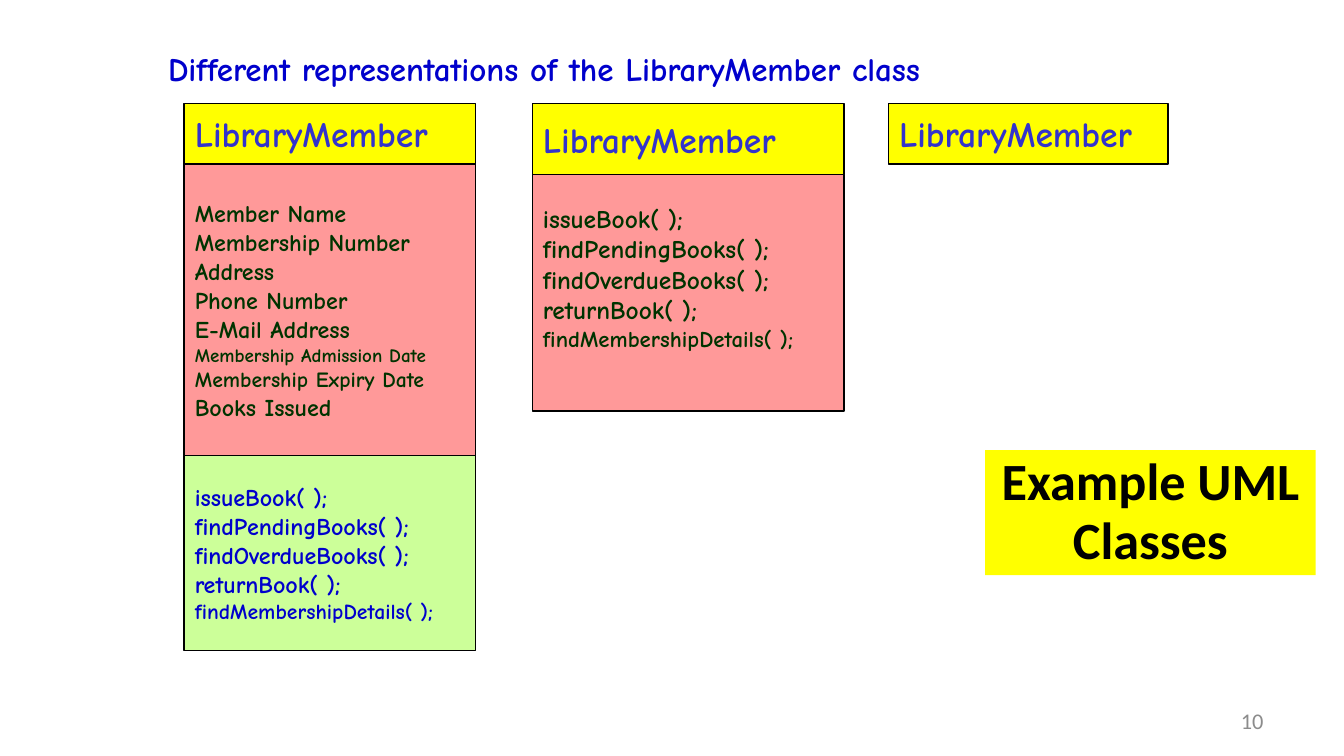
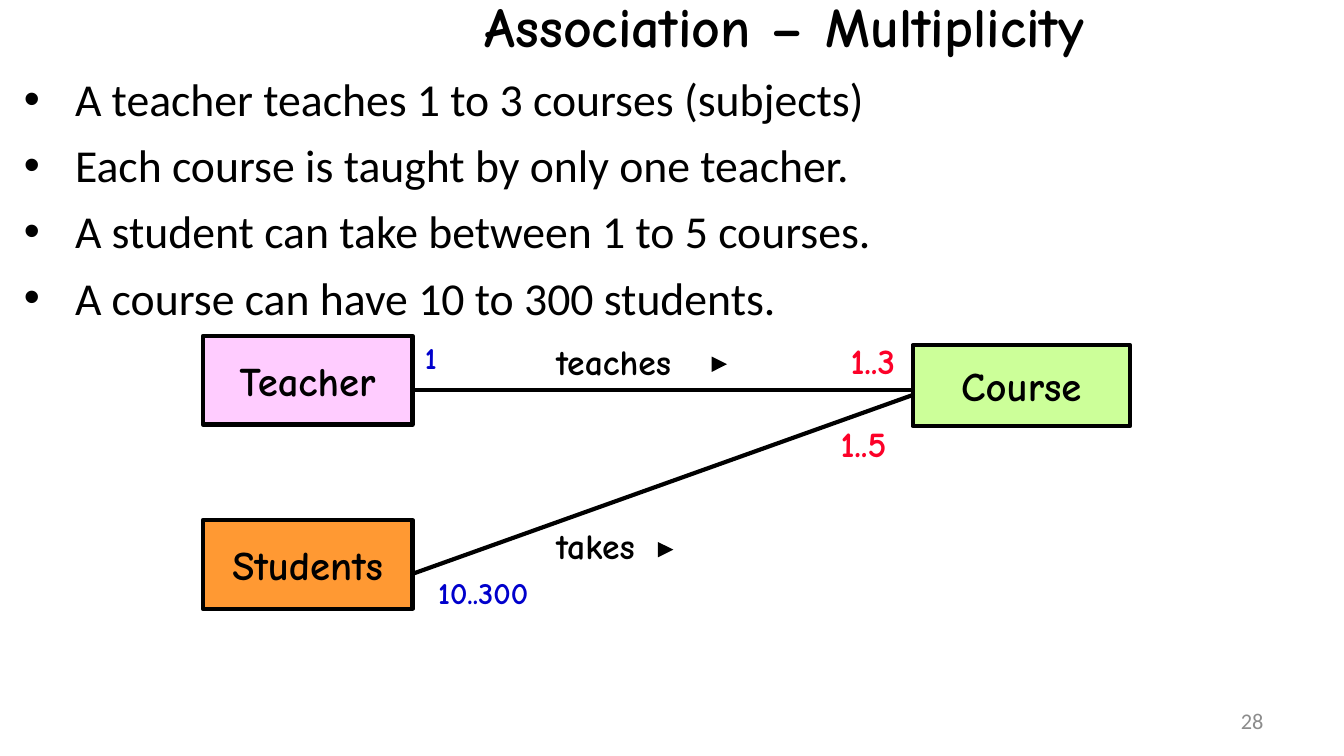
from dataclasses import dataclass
from lxml.etree import SubElement
from pptx import Presentation
from pptx.dml.color import RGBColor
from pptx.enum.shapes import MSO_CONNECTOR, MSO_SHAPE
from pptx.enum.text import MSO_ANCHOR, MSO_AUTO_SIZE, PP_ALIGN
from pptx.oxml.ns import qn
from pptx.util import Pt

PX = 9144  # 100 px to the inch
WIDE = 1000


@dataclass(frozen=True)
class Theme:
    hand: str = "Comic Neue"
    sans: str = "Calibri"
    black: str = "000000"
    white: str = "FFFFFF"
    yellow: str = "FFFF00"
    rose: str = "FF9999"
    lime: str = "CCFF99"
    pink: str = "FFCCFF"
    orange: str = "FF9933"
    blue: str = "0000CC"
    violet: str = "3333CC"
    green: str = "003300"
    red: str = "FC0128"
    grey: str = "8C8C8C"
    banner: float = 28
    head: float = 29.9
    body: float = 24.5
    node: float = 21.8
    label: float = 19.1
    caption: float = 17.7
    count: float = 16.3
    page: float = 12
    thin: float = 0.75
    thick: float = 2.25
    arrow: float = 2.75


T = Theme()
LEFT, MID, RIGHT = PP_ALIGN.LEFT, PP_ALIGN.CENTER, PP_ALIGN.RIGHT


def box(slide, at, lines, size, color=T.black, fill=None, edge=None, font=T.hand,
        bold=True, align=LEFT, pad=(8, 4, 8, 4), wrap=False, middle=True,
        grow=False, space=None, after=None, bullet=False):
    """Add text, on a rectangle if there is a fill; a line may be (text, size)."""
    place = [n * PX for n in at]
    if fill:
        shape = slide.shapes.add_shape(MSO_SHAPE.RECTANGLE, *place)
        shape.shadow.inherit = False
        shape.fill.solid()
        shape.fill.fore_color.rgb = RGBColor.from_string(fill)
        if edge:
            shape.line.color.rgb = RGBColor.from_string(T.black)
            shape.line.width = Pt(edge)
        else:
            shape.line.fill.background()
    else:
        shape = slide.shapes.add_textbox(*place)
    frame = shape.text_frame
    form = dict(zip(("margin_left", "margin_top", "margin_right", "margin_bottom"),
                    [n * PX for n in pad]))
    form["word_wrap"] = wrap
    form["vertical_anchor"] = MSO_ANCHOR.MIDDLE if middle else MSO_ANCHOR.TOP
    form["auto_size"] = MSO_AUTO_SIZE.SHAPE_TO_FIT_TEXT if grow else MSO_AUTO_SIZE.NONE
    for key, val in form.items():
        setattr(frame, key, val)
    for i, line in enumerate(lines):
        text, points = line if isinstance(line, tuple) else (line, size)
        para = frame.add_paragraph() if i else frame.paragraphs[0]
        if bullet:
            props = para._p.get_or_add_pPr()
            props.set("marL", str(38 * PX))
            props.set("indent", str(-38 * PX))
            SubElement(props, qn("a:buFont"), typeface="Arial")
            SubElement(props, qn("a:buChar"), char="•")
        para.alignment = align
        if space:
            para.line_spacing = space
        if after:
            para.space_after = Pt(after)
        run = para.add_run()
        run.text = text
        for key, val in dict(name=font, size=Pt(points), bold=bold).items():
            setattr(run.font, key, val)
        run.font.color.rgb = RGBColor.from_string(color)


def link(slide, ends, width, head=False):
    """Draw a straight black line, with an arrowhead if asked."""
    line = slide.shapes.add_connector(MSO_CONNECTOR.STRAIGHT, *[n * PX for n in ends])
    line.line.color.rgb = RGBColor.from_string(T.black)
    line.line.width = Pt(width)
    props = line._element.spPr
    if head:
        SubElement(props.find(qn("a:ln")), qn("a:tailEnd"), type="triangle")
    SubElement(props, qn("a:effectLst"))


deck = Presentation()
deck.slide_width, deck.slide_height = WIDE * PX, WIDE * PX * 9 // 16
uml, assoc = [deck.slides.add_slide(deck.slide_layouts[6]) for _ in range(2)]

# Shared: white ground and page number
for slide, page in ((uml, "10"), (assoc, "28")):
    slide.background.fill.solid()
    slide.background.fill.fore_color.rgb = RGBColor.from_string(T.white)
    box(slide, (717, 521, 233, 30), [page], T.page, T.grey, font=T.sans,
        bold=False, align=RIGHT, pad=(10, 5, 10, 5), wrap=True)

# Slide 1: title and caption
box(uml, (733, 335, 246, 93), ["Example UML Classes"], T.banner, fill=T.yellow,
    font=T.sans, align=MID, pad=(1, 4, 1, 4), wrap=True, space=0.94)
box(uml, (117, 32, 675, 37), ["Different representations of the LibraryMember class"],
    T.caption, T.blue, middle=False, grow=True)

# Slide 1: class boxes, each a stack of (height, lines, size, colour, fill, foot)
name = ["LibraryMember"]
fields = ["Member Name", "Membership Number", "Address", "Phone Number",
          "E-Mail Address", ("Membership Admission Date", 10.2),
          ("Membership Expiry Date", 11.6), "Books Issued"]
calls = ["issueBook( );", "findPendingBooks( );", "findOverdueBooks( );",
         "returnBook( );"]
last = "findMembershipDetails( );"
stacks = [
    (137, 217, [(45, name, T.label, T.violet, T.yellow, 4),
                (217, fields, 12.9, T.green, T.rose, 4),
                (145, calls + [(last, 11.6)], 12.9, T.blue, T.lime, 4)]),
    (396, 232, [(53, name, T.label, T.violet, T.yellow, 4),
                (176, calls + [(last, 12.2)], 13.6, T.green, T.rose, 27)]),
    (661, 208, [(45, name, T.label, T.violet, T.yellow, 4)]),
]
for x, wide, parts in stacks:
    y = 77
    for high, lines, size, color, fill, foot in parts:
        box(uml, (x, y, wide, high), lines, size, color, fill, T.thin,
            pad=(8, 4, 8, foot))
        y += high

# Slide 2: bullets and title
rules = ["A teacher teaches 1 to 3 courses (subjects)",
         "Each course is taught by only one teacher.",
         "A student can take between 1 to 5 courses.",
         "A course can have 10 to 300 students."]
box(assoc, (8, 48, 992, 440), rules, T.body, font=T.sans, bold=False,
    pad=(10, 5, 10, 5), wrap=True, middle=False, after=6, bullet=True)
box(assoc, (292, -3, 554, 51), ["Association – Multiplicity"], T.head, fill=T.white,
    align=MID, pad=(36, 4, 7, 4), wrap=True, space=0.88)

# Slide 2: classes
inset = (7, 4, 7, 4)
for text, at, fill in (("Teacher", (151, 250, 156, 66), T.pink),
                       ("Course", (679, 257, 162, 60), T.lime),
                       ("Students", (151, 387, 156, 66), T.orange)):
    box(assoc, at, [text], T.node, fill=fill, edge=T.thick, align=MID, pad=inset)

# Slide 2: associations and reading arrows
for ends in ((307, 290, 679, 290), (307, 427, 679, 294)):
    link(assoc, ends, T.thick)
for x, y in ((537, 271), (497, 409)):
    link(assoc, (x, y, x + 4, y), T.arrow, head=True)

# Slide 2: role names and multiplicities
for text, at, size, color, align in (
        ("teaches", (407, 249, 115, 40), T.label, T.black, LEFT),
        ("takes", (407, 386, 85, 40), T.label, T.black, LEFT),
        ("1..3", (614, 248, 71, 40), T.label, T.red, MID),
        ("1..5", (607, 310, 71, 40), T.label, T.red, MID),
        ("1", (306, 248, 29, 35), T.count, T.blue, MID),
        ("10..300", (307, 423, 105, 35), T.count, T.blue, MID)):
    box(assoc, at, [text], size, color, align=align, pad=inset, middle=False, grow=True)

deck.save("out.pptx")
